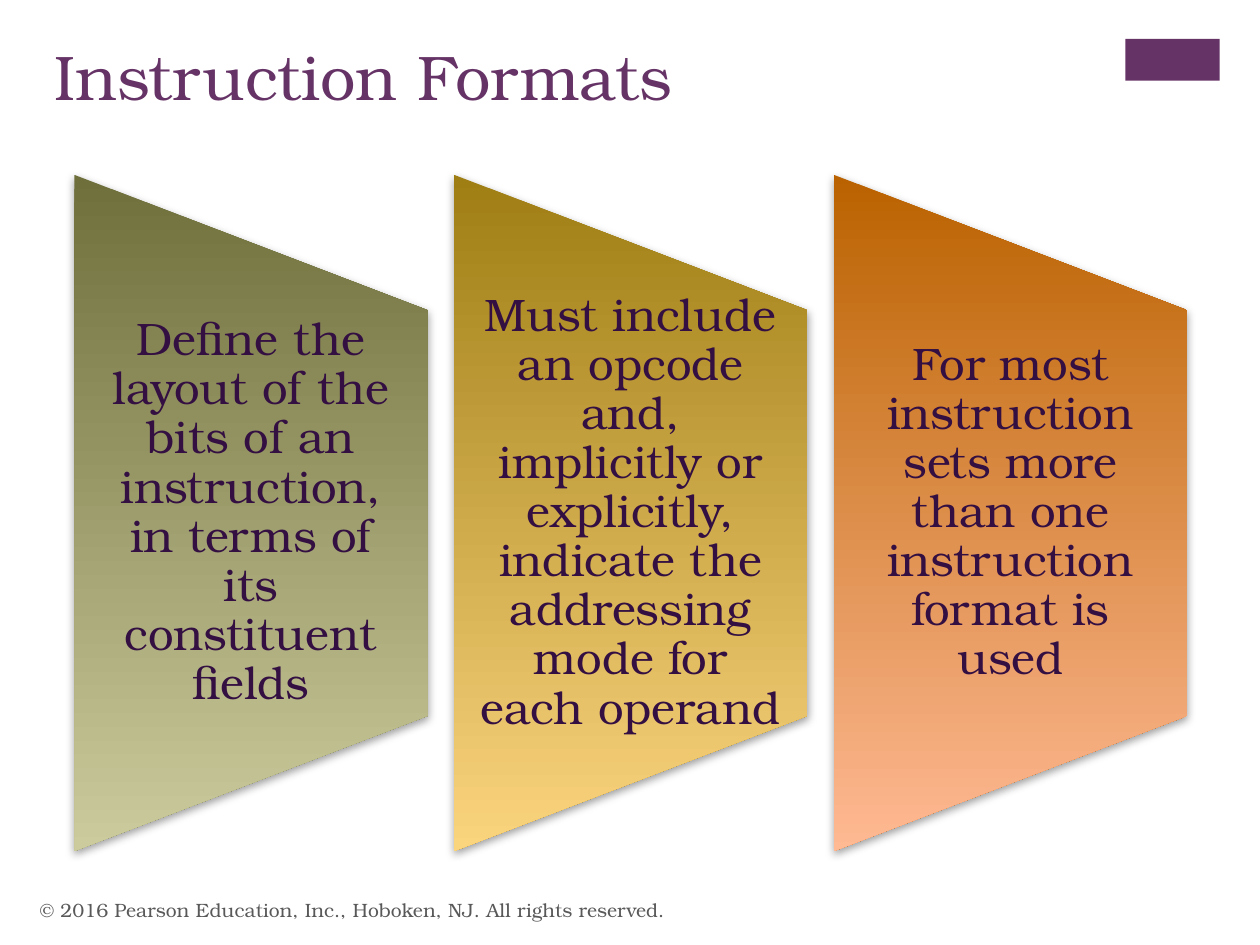
from lxml import etree
from pptx import Presentation
from pptx.dml.color import RGBColor
from pptx.enum.shapes import MSO_SHAPE
from pptx.enum.text import MSO_ANCHOR, MSO_AUTO_SIZE, PP_ALIGN
from pptx.oxml import parse_xml
from pptx.util import Pt

RECTANGLE = MSO_SHAPE.RECTANGLE
TRAPEZOID = MSO_SHAPE.FLOWCHART_MANUAL_OPERATION
TOP, MIDDLE = MSO_ANCHOR.TOP, MSO_ANCHOR.MIDDLE
LEFT, CENTER = PP_ALIGN.LEFT, PP_ALIGN.CENTER
NO_FIT = MSO_AUTO_SIZE.NONE
FONT = "TeX Gyre Bonum"
PURPLE = "663366"
SHADOW = """<a:effectLst xmlns:a="http://schemas.openxmlformats.org/drawingml/2006/main">
  <a:outerShdw blurRad="63500" dist="25400" dir="5400000" rotWithShape="0">
    <a:srgbClr val="808080"><a:alpha val="75000"/></a:srgbClr>
  </a:outerShdw>
</a:effectLst>"""


def color(value):
    return RGBColor.from_string(value)


def write(box, text, size, fill, align=LEFT, anchor=MIDDLE, inset=7.2, inset_y=3.6, spacing=1.0):
    frame = box.text_frame
    frame.word_wrap = True
    frame.auto_size = NO_FIT
    frame.vertical_anchor = anchor
    frame.margin_left = frame.margin_right = Pt(inset)
    frame.margin_top = frame.margin_bottom = Pt(inset_y)
    para = frame.paragraphs[0]
    para.alignment = align
    para.line_spacing = spacing
    span = para.add_run()
    span.text = text
    span.font.name = FONT
    span.font.size = Pt(size)
    span.font.color.rgb = color(fill)


deck = Presentation()
deck.slide_width, deck.slide_height = Pt(720), Pt(540)
page = deck.slides.add_slide(deck.slide_layouts[5])

accent = page.shapes.add_shape(RECTANGLE, Pt(643), Pt(22.3), Pt(54), Pt(23.8))
accent.shadow.inherit = False
accent.fill.solid()
accent.fill.fore_color.rgb = color(PURPLE)
accent.line.fill.background()

title = page.shapes.title
title.left, title.top, title.width, title.height = Pt(23.8), Pt(18), Pt(594.7), Pt(87.8)
write(title, "Instruction Formats", 36, PURPLE, anchor=TOP)

panels = [
    ("6F6F3C", "CBCB9D",
     "Define the layout of the bits of an instruction, in terms of its constituent fields"),
    ("9F7E14", "FBD47E",
     "Must include an opcode and, implicitly or explicitly, indicate the addressing mode "
     "for each operand"),
    ("BA6200", "FFB993",
     "For most instruction sets more than one instruction format is used"),
]
panel_width, panel_height, text_height = 201.8, 386.4, 231.8
first_left, pitch, center_y = 42.5, 217, 293.1

for index, (dark, light, text) in enumerate(panels):
    left = first_left + index * pitch
    center_x = left + panel_width / 2
    panel = page.shapes.add_shape(
        TRAPEZOID, Pt(center_x - panel_height / 2), Pt(center_y - panel_width / 2),
        Pt(panel_height), Pt(panel_width))
    panel.rotation = 270
    panel.line.fill.background()
    panel.fill.gradient()
    panel.fill.gradient_angle = 270
    for stop, shade in zip(panel.fill.gradient_stops, (dark, light)):
        stop.color.rgb = color(shade)
    properties = panel.element.spPr
    gradient = next(item for item in properties if etree.QName(item).localname == "gradFill")
    gradient.set("rotWithShape", "0")
    properties.append(parse_xml(SHADOW))

    box = page.shapes.add_textbox(
        Pt(left), Pt(center_y - text_height / 2), Pt(panel_width), Pt(text_height))
    write(box, text, 26, "330F42", align=CENTER, inset=13, inset_y=0, spacing=0.9)

footer = page.shapes.add_textbox(Pt(15.8), Pt(505.4), Pt(482.4), Pt(28.8))
write(footer, "© 2016 Pearson Education, Inc., Hoboken, NJ. All rights reserved.", 11, "595959")

deck.save("out.pptx")
